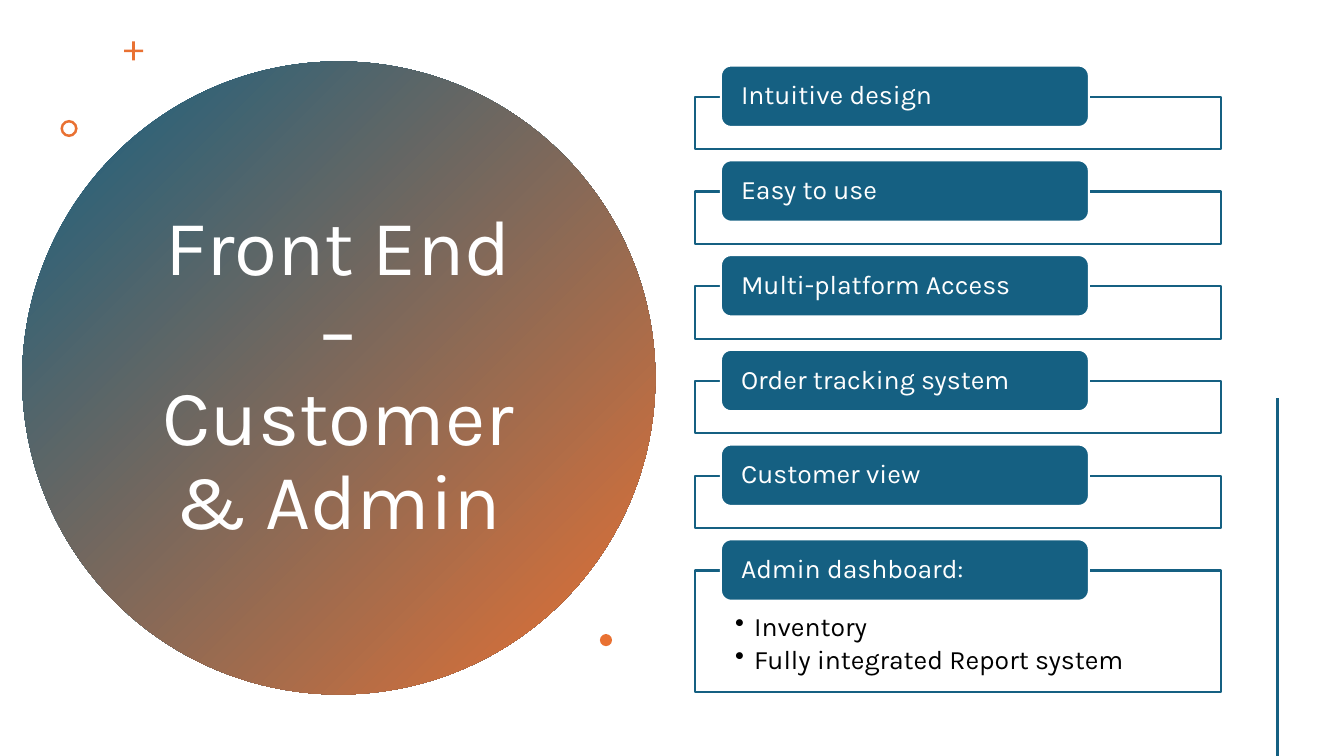
from lxml import etree
from pptx import Presentation
from pptx.dml.color import RGBColor
from pptx.enum.shapes import MSO_CONNECTOR, MSO_SHAPE
from pptx.enum.text import MSO_ANCHOR, PP_ALIGN
from pptx.oxml.ns import qn
from pptx.util import Inches, Pt

BLUE = RGBColor(0x15, 0x60, 0x82)
ORANGE = RGBColor(0xE9, 0x71, 0x32)
WHITE = RGBColor(0xFF, 0xFF, 0xFF)
BLACK = RGBColor(0x00, 0x00, 0x00)

ELLIPSE, RING, CROSS = MSO_SHAPE.OVAL, MSO_SHAPE.DONUT, MSO_SHAPE.CROSS
RECTANGLE, ROUNDED = MSO_SHAPE.RECTANGLE, MSO_SHAPE.ROUNDED_RECTANGLE
STRAIGHT = MSO_CONNECTOR.STRAIGHT
LEFT, CENTER = PP_ALIGN.LEFT, PP_ALIGN.CENTER
TOP, MIDDLE = MSO_ANCHOR.TOP, MSO_ANCHOR.MIDDLE

FEATURES = [
    ("Intuitive design", []),
    ("Easy to use", []),
    ("Multi-platform Access", []),
    ("Order tracking system", []),
    ("Customer view", []),
    ("Admin dashboard:", ["Inventory", "Fully integrated Report system"]),
]
FIRST_TOP, PITCH = 0.65, 0.94
BOX_DROP = 0.31


class SlideBuilder:
    font_name = "Karla"
    body_size = 19
    line_spacing = 0.9

    def __init__(self, slide):
        self.slide = slide

    def shape(self, kind, left, top, width, height, fill, line=None, adjustment=None):
        shape = self.slide.shapes.add_shape(
            kind, Inches(left), Inches(top), Inches(width), Inches(height))
        shape.shadow.inherit = False
        shape.fill.solid()
        shape.fill.fore_color.rgb = fill
        if line is None:
            shape.line.fill.background()
        else:
            shape.line.color.rgb = line
            shape.line.width = Pt(1.5)
        if adjustment is not None:
            shape.adjustments[0] = adjustment
        return shape

    def gradient_circle(self, left, top, diameter):
        circle = self.shape(ELLIPSE, left, top, diameter, diameter, BLUE)
        circle.fill.gradient()
        circle.fill.gradient_angle = 315
        for stop, color, position in zip(circle.fill.gradient_stops, (BLUE, ORANGE), (0, 1)):
            stop.color.rgb = color
            stop.position = position

    def set_text(self, shape, lines, color, size, alignment=LEFT, anchor=MIDDLE,
                 margins=(0.1, 0.05, 0.1, 0.05), space_after=0):
        """Fill a shape with paragraphs; margins run left, top, right, bottom."""
        frame = shape.text_frame
        frame.word_wrap = True
        frame.vertical_anchor = anchor
        (frame.margin_left, frame.margin_top,
         frame.margin_right, frame.margin_bottom) = map(Inches, margins)
        frame.text = "\n".join(lines)
        for paragraph in frame.paragraphs:
            paragraph.alignment = alignment
            paragraph.line_spacing = self.line_spacing
            paragraph.space_after = Pt(space_after)
            font = paragraph.runs[0].font
            font.name = self.font_name
            font.size = Pt(size)
            font.color.rgb = color

    def title(self, text, left, top, width, height):
        box = self.slide.shapes.add_textbox(
            Inches(left), Inches(top), Inches(width), Inches(height))
        self.set_text(box, [text], WHITE, 56, CENTER)

    def add_bullets(self, shape):
        for paragraph in shape.text_frame.paragraphs:
            properties = paragraph._p.get_or_add_pPr()
            properties.set("marL", str(Inches(0.19)))
            properties.set("indent", str(Inches(-0.19)))
            etree.SubElement(properties, qn("a:buChar")).set("char", "•")

    def feature(self, top, heading, details):
        """Draw an outlined box with a heading label over its upper edge."""
        height = 1.21 if details else 0.52
        box = self.shape(RECTANGLE, 6.89, top + BOX_DROP, 5.22, height, WHITE, BLUE)
        if details:
            self.set_text(box, details, BLACK, self.body_size, anchor=TOP,
                          margins=(0.4, 0.43, 0.4, 0.15), space_after=3)
            self.add_bullets(box)
        label = self.shape(ROUNDED, 7.15, top, 3.65, 0.61, BLUE, WHITE)
        self.set_text(label, [heading], WHITE, self.body_size, margins=(0.17, 0, 0.17, 0))

    def vertical_line(self, left, top, bottom):
        line = self.slide.shapes.add_connector(
            STRAIGHT, Inches(left), Inches(top), Inches(left), Inches(bottom))
        line.line.color.rgb = BLUE
        line.line.width = Pt(2)
        etree.SubElement(line._element.spPr, qn("a:effectLst"))


def main():
    presentation = Presentation()
    presentation.slide_width = Inches(13.33)
    presentation.slide_height = Inches(7.5)
    builder = SlideBuilder(presentation.slides.add_slide(presentation.slide_layouts[6]))

    builder.gradient_circle(0.22, 0.61, 6.28)
    builder.title("Front End – Customer & Admin", 1.36, 1.41, 3.99, 4.67)
    builder.shape(CROSS, 1.23, 0.41, 0.19, 0.19, ORANGE, adjustment=0.43)
    builder.shape(RING, 0.6, 1.19, 0.17, 0.17, ORANGE, adjustment=0.15)
    for index, (heading, details) in enumerate(FEATURES):
        builder.feature(FIRST_TOP + index * PITCH, heading, details)
    builder.shape(ELLIPSE, 5.95, 6.29, 0.12, 0.12, ORANGE)
    builder.vertical_line(12.67, 3.95, 7.5)

    presentation.save("out.pptx")


if __name__ == "__main__":
    main()
